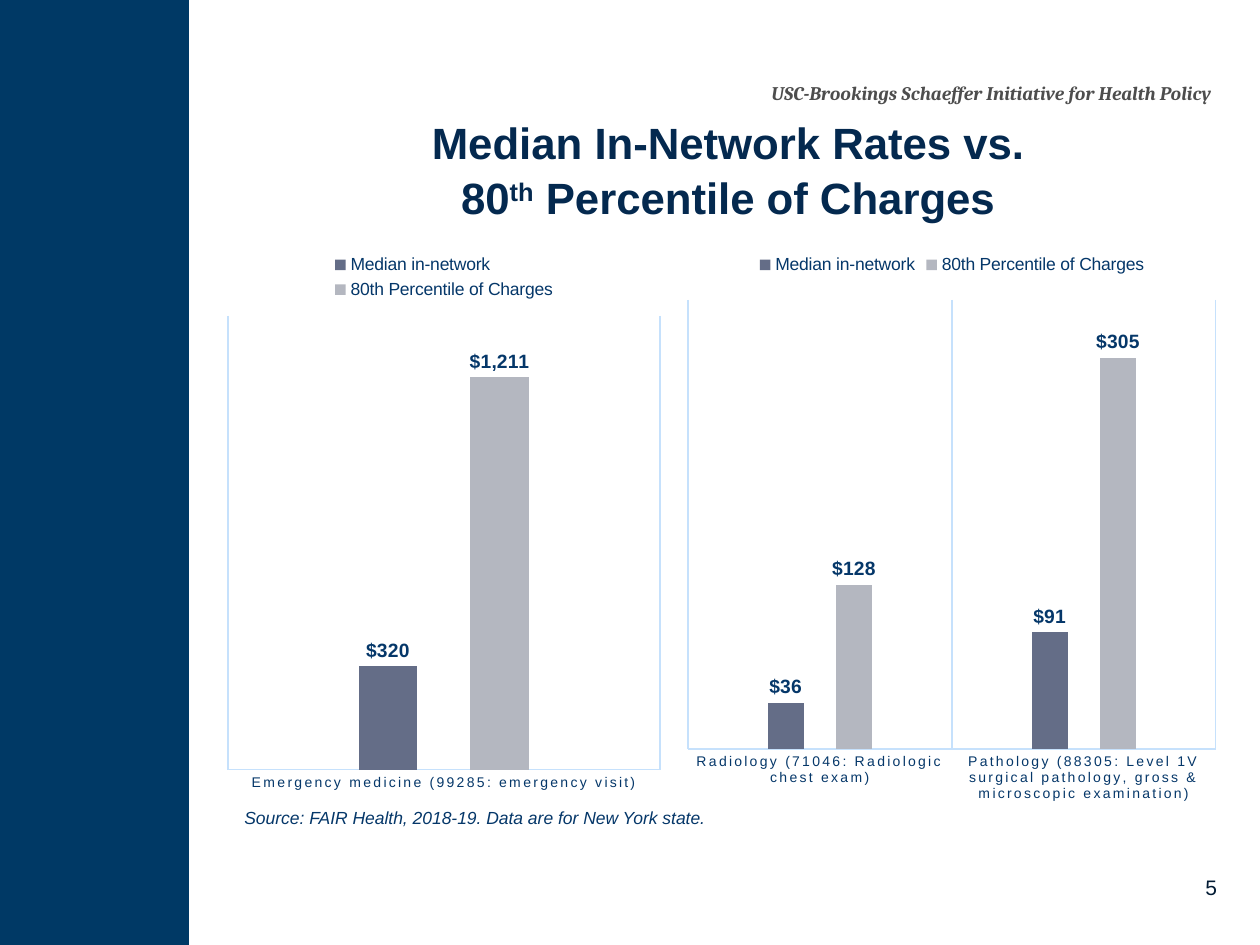
from dataclasses import dataclass

from lxml.etree import SubElement
from pptx import Presentation
from pptx.chart.data import CategoryChartData
from pptx.dml.color import RGBColor
from pptx.enum.chart import (XL_CHART_TYPE as ChartType, XL_LABEL_POSITION as LabelPosition,
                             XL_LEGEND_POSITION as LegendPosition, XL_TICK_MARK as TickMark)
from pptx.enum.shapes import MSO_SHAPE as Preset
from pptx.enum.text import MSO_ANCHOR as Anchor, MSO_AUTO_SIZE as AutoSize, PP_ALIGN as Align
from pptx.oxml.ns import qn
from pptx.util import Pt

PX_PER_INCH = 126


def px(length):
    return round(length * 914400 / PX_PER_INCH)


@dataclass(frozen=True)
class Theme:
    font: str = "Arial"
    header_font: str = "Cambria"
    band: str = "003965"
    title: str = "04294F"
    text: str = "053769"
    header: str = "4D4D4D"
    page: str = "021B34"
    grid: str = "C6E1FC"
    series: tuple = ("646D87", "B4B7C0")
    title_size: int = 25
    page_size: int = 12
    label_size: int = 11
    body_size: int = 10
    axis_size: int = 8


class SlideBuilder:
    """Draws themed elements on one slide; boxes are (left, top, width, height) in px."""

    def __init__(self, presentation, theme):
        self.theme = theme
        self.slide = presentation.slides.add_slide(presentation.slide_layouts[5])

    def style(self, font, size, color, name=None, bold=False, italic=False):
        font.name = name or self.theme.font
        font.size = Pt(size)
        font.bold = bold
        font.italic = italic
        font.color.rgb = RGBColor.from_string(color)

    def band(self, box):
        shape = self.slide.shapes.add_shape(Preset.RECTANGLE, *map(px, box))
        shape.shadow.inherit = False
        shape.fill.solid()
        shape.fill.fore_color.rgb = RGBColor.from_string(self.theme.band)
        shape.line.fill.background()

    def title(self, box, lines):
        """Each line is a list of (text, is_superscript) pairs."""
        shape = self.slide.shapes.title
        shape.left, shape.top, shape.width, shape.height = map(px, box)
        frame = shape.text_frame
        frame.auto_size = AutoSize.NONE
        frame.vertical_anchor = Anchor.MIDDLE
        for index, line in enumerate(lines):
            paragraph = frame.add_paragraph() if index else frame.paragraphs[0]
            paragraph.alignment = Align.CENTER
            paragraph.line_spacing = 1.05
            self.style(paragraph.font, self.theme.title_size, self.theme.title, bold=True)
            for text, is_superscript in line:
                run = paragraph.add_run()
                run.text = text
                if is_superscript:
                    run._r.get_or_add_rPr().set("baseline", "30000")

    def text(self, box, text, size, color, align=Align.LEFT, inset=True, **font):
        frame = self.slide.shapes.add_textbox(*map(px, box)).text_frame
        frame.word_wrap = True
        if not inset:
            frame.margin_left = frame.margin_right = frame.margin_top = frame.margin_bottom = 0
        paragraph = frame.paragraphs[0]
        paragraph.text = text
        paragraph.alignment = align
        self.style(paragraph.font, size, color, **font)

    def column_chart(self, box, plot_box, maximum, categories, series):
        theme = self.theme
        data = CategoryChartData(number_format='"$"#,##0')
        data.categories = categories
        for name, values in series.items():
            data.add_series(name, values)
        chart = self.slide.shapes.add_chart(
            ChartType.COLUMN_CLUSTERED, *map(px, box), data).chart
        chart.has_title = False
        self.style(chart.font, theme.body_size, theme.text)

        chart.has_legend = True
        chart.legend.position = LegendPosition.TOP
        chart.legend.include_in_layout = False
        self.style(chart.legend.font, theme.body_size, theme.text)

        value_axis = chart.value_axis
        value_axis.visible = False
        value_axis.has_major_gridlines = False
        value_axis.minimum_scale, value_axis.maximum_scale = 0, maximum

        category_axis = chart.category_axis
        category_axis.major_tick_mark = category_axis.minor_tick_mark = TickMark.NONE
        category_axis.has_major_gridlines = True
        for line in (category_axis.format.line, category_axis.major_gridlines.format.line):
            line.color.rgb = RGBColor.from_string(theme.grid)
            line.width = Pt(0.75)
        self.style(category_axis.tick_labels.font, theme.axis_size, theme.text)
        category_axis._element.find(".//" + qn("a:defRPr")).set("spc", "120")

        plot = chart.plots[0]
        plot.gap_width, plot.overlap, plot.vary_by_categories = 444, -90, False
        for column, color in zip(plot.series, theme.series):
            column.format.fill.solid()
            column.format.fill.fore_color.rgb = RGBColor.from_string(color)
            labels = column.data_labels
            labels.show_value = True
            labels.position = LabelPosition.OUTSIDE_END
            labels.number_format = '"$"#,##0'
            labels.number_format_is_linked = False
            self.style(labels.font, theme.label_size, theme.text, bold=True)
        self.place_plot(chart, box, plot_box)

    def place_plot(self, chart, box, plot_box):
        """Fix the inner plot area at plot_box, as fractions of the chart box."""
        left, top, width, height = box
        plot_left, plot_top, plot_width, plot_height = plot_box
        area = chart._chartSpace.find(".//" + qn("c:plotArea"))
        for old_layout in area.findall(qn("c:layout")):
            area.remove(old_layout)
        layout = SubElement(area, qn("c:layout"))
        area.insert(0, layout)
        manual = SubElement(layout, qn("c:manualLayout"))
        settings = {
            "layoutTarget": "inner", "xMode": "edge", "yMode": "edge",
            "x": (plot_left - left) / width, "y": (plot_top - top) / height,
            "w": plot_width / width, "h": plot_height / height,
        }
        for tag, value in settings.items():
            SubElement(manual, qn(f"c:{tag}")).set("val", str(value))


def main():
    presentation = Presentation()
    presentation.slide_width, presentation.slide_height = px(1260), px(945)
    theme = Theme()
    builder = SlideBuilder(presentation, theme)

    builder.band((0, 0, 189, 945))
    builder.text((655, 81, 557, 24), "USC-Brookings Schaeffer Initiative for Health Policy",
                 theme.label_size, theme.header, Align.RIGHT, inset=False,
                 name=theme.header_font, bold=True, italic=True)
    builder.text((1187, 875, 30, 25), "5", theme.page_size, theme.page, Align.RIGHT, inset=False)
    builder.title((244, 137, 968, 62), [
        [("Median In-Network Rates vs.", False)],
        [("80", False), ("th", True), (" Percentile of Charges", False)],
    ])
    builder.column_chart(
        (219, 241, 450, 563), (228, 316, 432, 454), 1400,
        ["Emergency medicine (99285: emergency visit)"],
        {"Median in-network": [320], "80th Percentile of Charges": [1211]})
    builder.column_chart(
        (669, 241, 566, 591), (688, 300, 528, 449), 350,
        ["Radiology (71046: Radiologic chest exam)",
         "Pathology (88305: Level 1V surgical pathology, gross & microscopic examination)"],
        {"Median in-network": [36, 91], "80th Percentile of Charges": [128, 305]})
    builder.text((232, 801, 515, 34), "Source: FAIR Health, 2018-19. Data are for New York state.",
                 theme.body_size, theme.text, italic=True)

    presentation.save("out.pptx")


if __name__ == "__main__":
    main()
